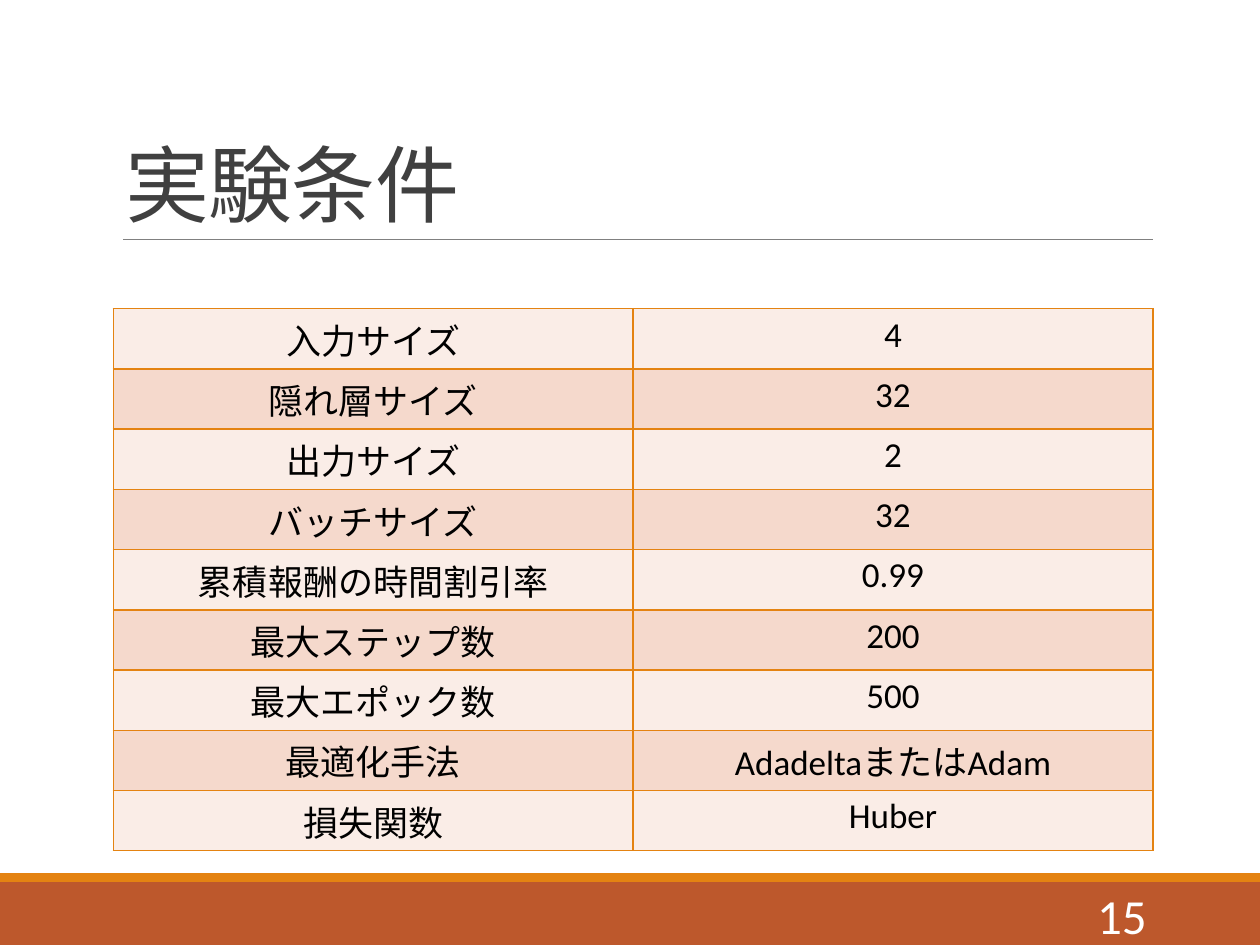
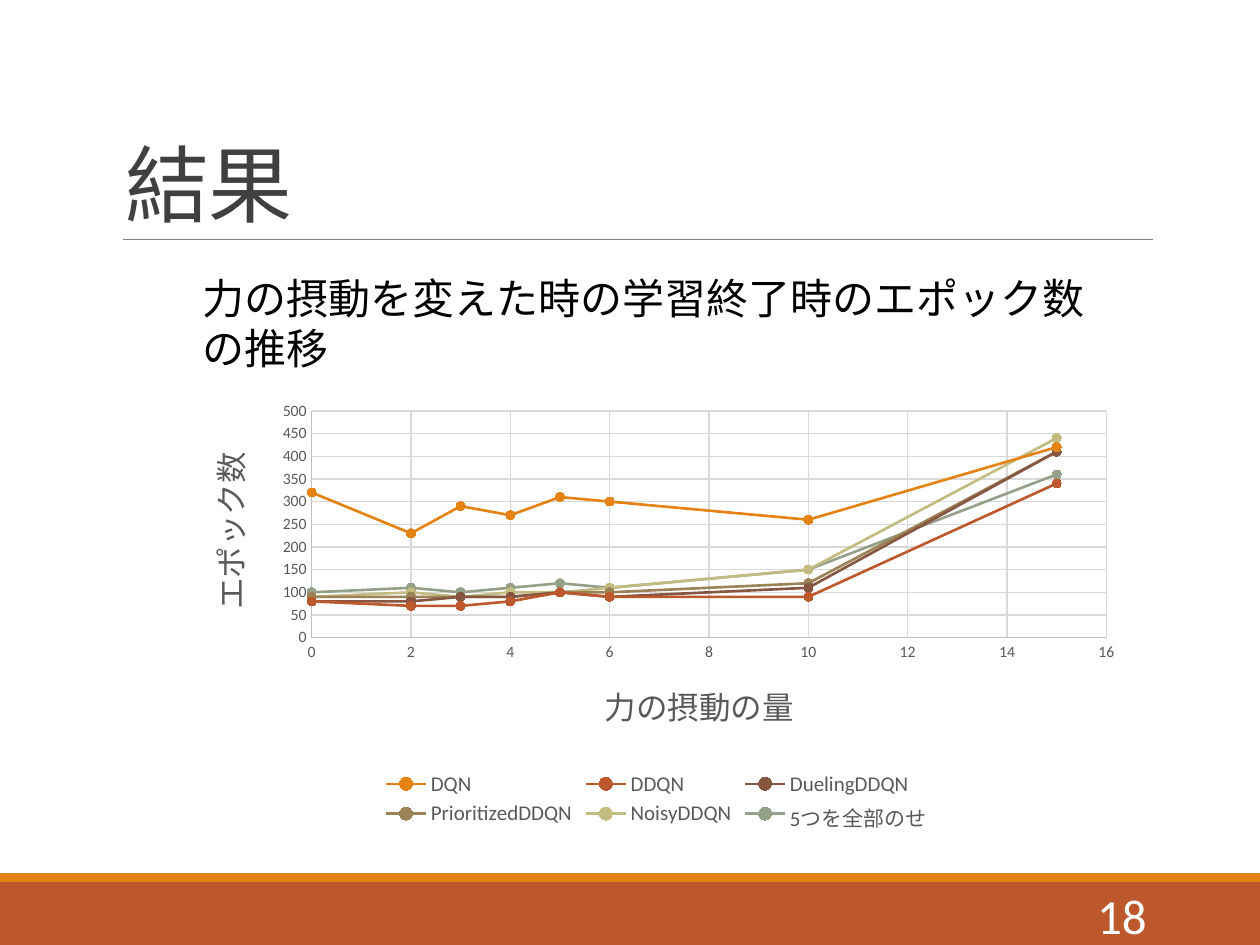
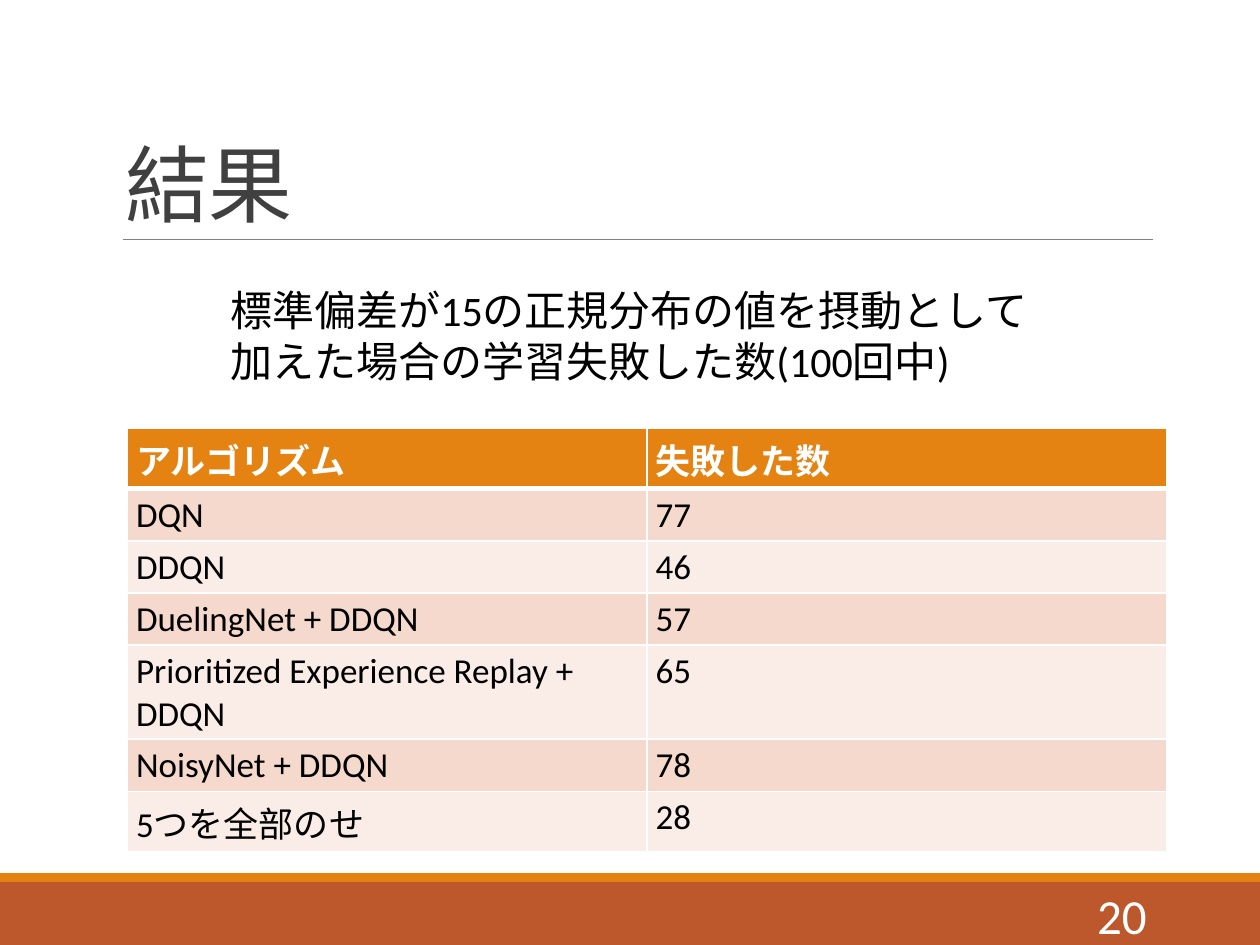
from dataclasses import dataclass

from lxml import etree
from pptx import Presentation, util as u
from pptx.chart import data as cd
from pptx.dml.color import RGBColor
from pptx.enum import chart as ec, shapes, text
from pptx.oxml import ns

RUST = RGBColor(0xBD, 0x58, 0x2C)
AMBER = RGBColor(0xE4, 0x83, 0x12)
BROWN = RGBColor(0x86, 0x56, 0x40)
TAN = RGBColor(0x9B, 0x83, 0x57)
SAND = RGBColor(0xC2, 0xBC, 0x80)
SAGE = RGBColor(0x94, 0xA0, 0x88)
PALE = RGBColor(0xFA, 0xED, 0xE7)
PEACH = RGBColor(0xF5, 0xD9, 0xCC)
WHITE = RGBColor(0xFF, 0xFF, 0xFF)
BLACK = RGBColor(0, 0, 0)
DARK = RGBColor(0x40, 0x40, 0x40)
GRAY = RGBColor(0x59, 0x59, 0x59)
RULE = RGBColor(0x80, 0x80, 0x80)
AXIS = RGBColor(0xBF, 0xBF, 0xBF)
GRID = RGBColor(0xD9, 0xD9, 0xD9)
FONT = "Calibri"
WIDTH, HEIGHT = u.Inches(10), u.Inches(7.5)
COLS, ROWS = 100, 75
LOW, TALL = 4.14, 4.78


@dataclass(frozen=True)
class Box:
    col: float
    row: float
    wide: float
    high: float

    def place(self) -> tuple:
        return across(self.col), down(self.row), across(self.wide), down(self.high)


@dataclass(frozen=True)
class Band:
    box: Box
    color: RGBColor


@dataclass(frozen=True)
class Series:
    name: str
    color: RGBColor
    epochs: tuple


@dataclass(frozen=True)
class Look:
    edge: RGBColor
    fills: tuple
    align: text.PP_ALIGN
    header: bool = False


def across(cols: float) -> int:
    return round(WIDTH * cols / COLS)


def down(rows: float) -> int:
    return round(HEIGHT * rows / ROWS)


BANDS = (Band(Box(0, 70, 100, 5), RUST), Band(Box(0, 69.3, 100, 0.7), AMBER))
TITLE = Box(9, 3.1, 82.5, 15.9)
NUMBER = Box(81.2, 70.6, 10.8, 4)
LEFT, CENTER, RIGHT = text.PP_ALIGN.LEFT, text.PP_ALIGN.CENTER, text.PP_ALIGN.RIGHT

SETUP = (
    ("入力サイズ", "4"),
    ("隠れ層サイズ", "32"),
    ("出力サイズ", "2"),
    ("バッチサイズ", "32"),
    ("累積報酬の時間割引率", "0.99"),
    ("最大ステップ数", "200"),
    ("最大エポック数", "500"),
    ("最適化手法", "AdadeltaまたはAdam"),
    ("損失関数", "Huber"),
)
FAILS = (
    ("アルゴリズム", "失敗した数"),
    ("DQN", "77"),
    ("DDQN", "46"),
    ("DuelingNet + DDQN", "57"),
    ("Prioritized Experience Replay + DDQN", "65"),
    ("NoisyNet + DDQN", "78"),
    ("5つを全部のせ", "28"),
)
FORCES = (0, 2, 3, 4, 5, 6, 10, 15)
RUNS = (
    Series("DQN", AMBER, (320, 230, 290, 270, 310, 300, 260, 420)),
    Series("DDQN", RUST, (80, 70, 70, 80, 100, 90, 90, 340)),
    Series("DuelingDDQN", BROWN, (80, 80, 90, 90, 100, 90, 110, 410)),
    Series("PrioritizedDDQN", TAN, (90, 90, 90, 90, 100, 100, 120, 410)),
    Series("NoisyDDQN", SAND, (90, 100, 90, 100, 100, 110, 150, 440)),
    Series("5つを全部のせ", SAGE, (100, 110, 100, 110, 120, 110, 150, 360)),
)


def style(font, size: float, color: RGBColor, bold: bool = False) -> None:
    font.name, font.size, font.bold = FONT, u.Pt(size), bold
    font.color.rgb = color


def write(frame, words: str, *, size: float, color: RGBColor = BLACK,
          bold: bool = False, align=LEFT, anchor=text.MSO_ANCHOR.TOP,
          space: float | None = None, kern: int = 0) -> None:
    frame.word_wrap = True
    frame.vertical_anchor = anchor
    para = frame.paragraphs[0]
    para.alignment, para.line_spacing = align, space
    run = para.add_run()
    run.text = words
    style(run.font, size, color, bold)
    if kern:
        run._r.get_or_add_rPr().set("spc", str(kern))


def label(slide, box: Box, words: str, **form) -> None:
    write(slide.shapes.add_textbox(*box.place()).text_frame, words, **form)


def start(deck, title: str, number: int):
    slide = deck.slides.add_slide(deck.slide_layouts[6])
    for band in BANDS:
        bar = slide.shapes.add_shape(shapes.MSO_SHAPE.RECTANGLE, *band.box.place())
        bar.shadow.inherit = False
        bar.fill.solid()
        bar.fill.fore_color.rgb = band.color
        bar.line.fill.background()
    rule = slide.shapes.add_connector(shapes.MSO_CONNECTOR.STRAIGHT,
                                      across(9.8), down(19), across(91.5), down(19))
    rule.line.color.rgb, rule.line.width = RULE, u.Pt(0.5)
    etree.SubElement(rule._element.spPr, ns.qn("a:effectLst"))
    label(slide, TITLE, title, size=48, color=DARK, space=0.85, kern=-50,
          anchor=text.MSO_ANCHOR.BOTTOM)
    label(slide, NUMBER, str(number), size=28, color=WHITE, align=RIGHT,
          anchor=text.MSO_ANCHOR.MIDDLE)
    return slide


def border(cell, color: RGBColor, base: float) -> None:
    props = cell._tc.get_or_add_tcPr()
    for side in "LRTB":
        width = base if side == "B" else 1
        line = etree.SubElement(props, ns.qn(f"a:ln{side}"), w=str(u.Pt(width)))
        fill = etree.SubElement(line, ns.qn("a:solidFill"))
        etree.SubElement(fill, ns.qn("a:srgbClr"), val=str(color))


def tabulate(slide, box: Box, cells: tuple, look: Look) -> None:
    frame = slide.shapes.add_table(len(cells), len(cells[0]), *box.place())
    table = frame.table
    table.first_row = look.header
    table.horz_banding = False
    for i, words in enumerate(cells):
        table.rows[i].height = down(LOW if all(map(str.isascii, words)) else TALL)
        head = look.header and i == 0
        for j, word in enumerate(words):
            cell = table.cell(i, j)
            cell.margin_left = cell.margin_right = u.Inches(0.07)
            cell.margin_top = cell.margin_bottom = u.Inches(0.04)
            border(cell, look.edge, 3 if head else 1)
            cell.fill.solid()
            cell.fill.fore_color.rgb = AMBER if head else look.fills[i % 2]
            write(cell.text_frame, word, size=20, bold=head, align=look.align,
                  color=WHITE if head else BLACK)
    frame.height = down(box.high)


def arrange(part, index: int, **shares: float) -> None:
    for old in part.findall(ns.qn("c:layout")):
        part.remove(old)
    layout = etree.Element(ns.qn("c:layout"))
    part.insert(index, layout)
    manual = etree.SubElement(layout, ns.qn("c:manualLayout"))
    if "w" in shares:
        etree.SubElement(manual, ns.qn("c:layoutTarget"), val="inner")
    for key in "xy":
        etree.SubElement(manual, ns.qn(f"c:{key}Mode"), val="edge")
    for key, share in shares.items():
        etree.SubElement(manual, ns.qn(f"c:{key}"), val=str(share))


def scale(axis, title: str, top: int, step: int, x: float, y: float) -> None:
    axis.minimum_scale, axis.maximum_scale, axis.major_unit = 0, top, step
    axis.major_tick_mark = axis.minor_tick_mark = ec.XL_TICK_MARK.NONE
    axis.has_major_gridlines = True
    for line, color in ((axis.format.line, AXIS),
                        (axis.major_gridlines.format.line, GRID)):
        line.color.rgb, line.width = color, u.Pt(0.75)
    style(axis.tick_labels.font, 9, GRAY)
    write(axis.axis_title.text_frame, title, size=18, color=GRAY, align=CENTER)
    arrange(axis.axis_title._element, 1, x=x, y=y)


def plot(slide, box: Box) -> None:
    data = cd.XyChartData()
    for item in RUNS:
        points = data.add_series(item.name)
        for force, epoch in zip(FORCES, item.epochs):
            points.add_data_point(force, epoch)
    chart = slide.shapes.add_chart(ec.XL_CHART_TYPE.XY_SCATTER_LINES,
                                   *box.place(), data).chart
    style(chart.font, 10, BLACK)
    chart.has_title = False
    chart.has_legend = True
    chart.legend.position = ec.XL_LEGEND_POSITION.BOTTOM
    chart.legend.include_in_layout = False
    style(chart.legend.font, 12, GRAY)
    scale(chart.category_axis, "力の摂動の量", 16, 2, x=0.44, y=0.63)
    scale(chart.value_axis, "エポック数", 500, 50, x=0.02, y=0.12)
    arrange(chart._chartSpace.chart.plotArea, 0, x=0.14, y=0.04, w=0.83, h=0.51)
    chart.plots[0].vary_by_categories = False
    for item, line in zip(RUNS, chart.plots[0].series):
        line.smooth = False
        line.format.line.color.rgb = item.color
        line.format.line.width = u.Pt(1.5)
        mark = line.marker
        mark.style, mark.size = ec.XL_MARKER_STYLE.CIRCLE, 5
        mark.format.fill.solid()
        mark.format.fill.fore_color.rgb = item.color
        mark.format.line.color.rgb = item.color


def main() -> None:
    deck = Presentation()
    deck.slide_width, deck.slide_height = WIDTH, HEIGHT

    slide = start(deck, "実験条件", 15)
    tabulate(slide, Box(9, 24.5, 82.5, 36.7), SETUP,
             Look(AMBER, (PALE, PEACH), CENTER))

    slide = start(deck, "結果", 18)
    label(slide, Box(15.1, 21.1, 72.5, 9.1),
          "力の摂動を変えた時の学習終了時のエポック数の推移", size=24)
    plot(slide, Box(14.1, 31.2, 76, 35.3))

    slide = start(deck, "結果", 20)
    tabulate(slide, Box(10.1, 34, 82.5, 31.9), FAILS,
             Look(WHITE, (PALE, PEACH), LEFT, header=True))
    label(slide, Box(17.3, 22.1, 68, 9.1),
          "標準偏差が15の正規分布の値を摂動として加えた場合の学習失敗した数(100回中)",
          size=24)

    deck.save("out.pptx")


if __name__ == "__main__":
    main()
